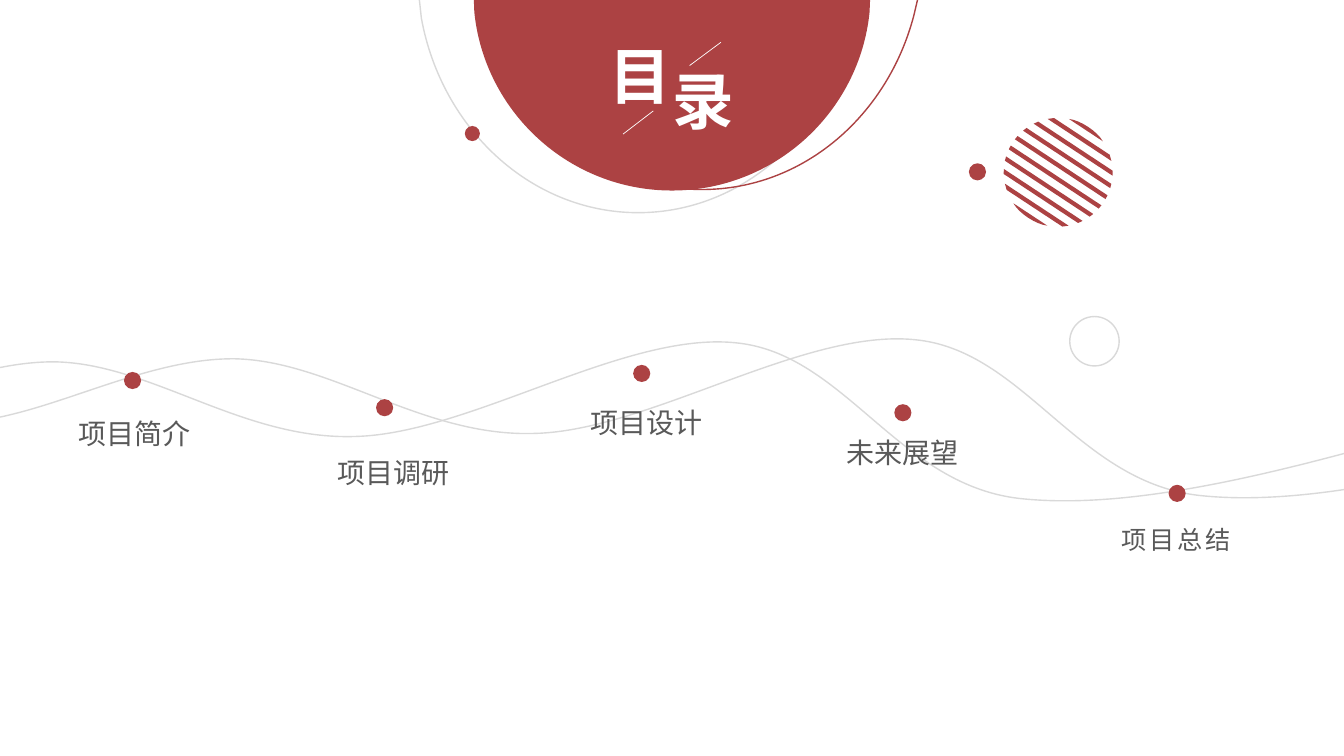
from dataclasses import dataclass
from math import sqrt

from lxml import etree
from pptx import Presentation
from pptx.dml.color import RGBColor
from pptx.enum.shapes import MSO_CONNECTOR, MSO_SHAPE
from pptx.enum.text import MSO_AUTO_SIZE, PP_ALIGN
from pptx.oxml.ns import qn
from pptx.util import Inches, Pt

OVAL = MSO_SHAPE.OVAL
STRAIGHT = MSO_CONNECTOR.STRAIGHT
CENTER = PP_ALIGN.CENTER
FIT_SHAPE = MSO_AUTO_SIZE.SHAPE_TO_FIT_TEXT

Point = tuple[float, float]
# The start point, then one point per straight segment or three per curve
Contour = list[list[Point]]


@dataclass(frozen=True)
class Theme:
    font: str = "Noto Sans CJK SC"
    red: str = "AC4243"
    grey: str = "D9D9D9"
    white: str = "FFFFFF"
    ink: str = "595959"
    title_size: float = 44
    label_size: float = 20
    last_label_size: float = 18
    line: float = 1
    hairline: float = 0.5


T = Theme()


@dataclass(frozen=True)
class Box:
    left: float
    top: float
    width: float
    height: float


@dataclass(frozen=True)
class Circle:
    left: float
    top: float
    size: float = 0.17
    fill: str = T.red
    line: str | None = None


@dataclass(frozen=True)
class Bowl:
    """A circle cut off by the top of the slide; x values count from its axis."""
    box: Box
    shoulder: Point
    side_handle: Point
    base_handle: float
    fill: str | None = None
    line: str | None = None


@dataclass(frozen=True)
class Label:
    text: str
    left: float
    top: float
    width: float = 1.32
    height: float = 0.44
    size: float = T.label_size
    color: str = T.ink
    bold: bool = False
    spacing: float = 0
    wrap: bool = False


WAVE_BOX = Box(-2.7, 3.36, 19.26, 1.58)
WAVE: Contour = [
    [(-2.7, 3.44)],
    [(-2.01, 3.8), (-1.32, 4.17), (-0.49, 4.19)],
    [(0.35, 4.21), (1.36, 3.55), (2.33, 3.56)],
    [(3.29, 3.58), (4.19, 4.34), (5.31, 4.3)],
    [(6.44, 4.27), (7.97, 3.26), (9.07, 3.37)],
    [(10.17, 3.47), (10.69, 4.81), (11.94, 4.92)],
    [(13.19, 5.04), (14.87, 4.55), (16.56, 4.06)],
]
WAVE_SHIFTS: list[Point] = [(0, 0), (-1.78, 0.03)]
DISC_BOX = Box(9.96, 1.17, 1.07, 1.08)
DISC_TILT = 33.4

BOWLS = [
    Bowl(Box(4.16, 0, 4.34, 2.11), (2.15, 0.18), (1.95, 1.28), 1.06, line=T.grey),
    Bowl(Box(4.83, 0, 4.27, 1.88), (2.1, 0.15), (1.84, 1.15), 1, line=T.red),
    Bowl(Box(4.7, 0, 3.93, 1.89), (1.96, 0.12), (1.86, 1.11), 1.02, fill=T.red),
]
BACK_CIRCLES = [Circle(1.23, 3.69), Circle(9.61, 1.62)]
FRONT_CIRCLES = [
    Circle(4.61, 1.25, 0.15),
    Circle(3.73, 3.96),
    Circle(6.28, 3.62),
    Circle(8.87, 4.01),
    Circle(10.61, 3.14, 0.49, T.white, T.grey),
    Circle(11.59, 4.81),
]
TITLE = [
    Label("目", 5.93, 0.33, 0.84, 0.84, T.title_size, T.white, True),
    Label("录", 6.56, 0.58, 0.84, 0.84, T.title_size, T.white, True),
]
TITLE_STROKES: list[tuple[Point, Point]] = [
    ((6.18, 1.33), (6.48, 1.1)),
    ((6.84, 0.65), (7.15, 0.42)),
]
LABELS = [
    Label("项目简介", 0.67, 4.08),
    Label("项目调研", 3.24, 4.47),
    Label("项目设计", 5.37, 3.97, 2.08, wrap=True),
    Label("未来展望", 8.29, 4.27),
    Label("项目总结", 11.01, 5.15, height=0.4, size=T.last_label_size, spacing=2),
]


def paint(s, fill: str | None, line: str | None) -> None:
    s.shadow.inherit = False
    if fill:
        s.fill.solid()
        s.fill.fore_color.rgb = RGBColor.from_string(fill)
    else:
        s.fill.background()
    if line:
        s.line.color.rgb = RGBColor.from_string(line)
        s.line.width = Pt(T.line)
    else:
        s.line.fill.background()


def add_outline(shapes, box: Box, contours: list[Contour],
                fill: str | None = None, line: str | None = None):
    """Frame a freeform by its box, then give it straight and curved segments."""
    left, top, width, height = map(Inches, (box.left, box.top, box.width, box.height))
    builder = shapes.build_freeform(left, top)
    builder.add_line_segments([(left + width, top + height)], close=False)
    s = builder.convert_to_shape()
    outline = next(s._element.iter(qn("a:path")))
    for child in list(outline):
        outline.remove(child)
    for contour in contours:
        for i, segment in enumerate(contour):
            tag = "a:moveTo" if i == 0 else "a:lnTo" if len(segment) == 1 else "a:cubicBezTo"
            step = etree.SubElement(outline, qn(tag))
            for x, y in segment:
                etree.SubElement(step, qn("a:pt"), x=str(Inches(x) - left), y=str(Inches(y) - top))
        if fill:
            etree.SubElement(outline, qn("a:close"))
    paint(s, fill, line)
    return s


def add_wave(shapes, dx: float, dy: float) -> None:
    box = Box(WAVE_BOX.left + dx, WAVE_BOX.top + dy, WAVE_BOX.width, WAVE_BOX.height)
    wave = [[(x + dx, y + dy) for x, y in segment] for segment in WAVE]
    add_outline(shapes, box, [wave], line=T.grey)


def add_bowl(shapes, bowl: Bowl) -> None:
    half, depth = bowl.box.width / 2, bowl.box.height
    axis = bowl.box.left + half
    (sx, sy), (hx, hy), bx = bowl.shoulder, bowl.side_handle, bowl.base_handle
    contour = [
        [(axis + half, 0)],
        [(axis + sx, sy)],
        [(axis + hx, hy), (axis + bx, depth), (axis, depth)],
        [(axis - bx, depth), (axis - hx, hy), (axis - sx, sy)],
        [(axis - half, 0)],
    ]
    add_outline(shapes, bowl.box, [contour], bowl.fill, bowl.line)


def add_striped_disc(shapes, box: Box) -> None:
    """Cut a disc into level bands between two caps, then tilt it."""
    radius, pitch, thickness = box.height / 2, 0.116, 0.042
    cx, cy = box.left + box.width / 2, box.top + radius

    def chord(y: float) -> list[Point]:
        half = sqrt(radius ** 2 - y ** 2)
        return [(cx - half, cy + y), (cx + half, cy + y)]

    contours = []
    for k in range(8):
        top = (k - 3.5) * pitch - thickness / 2
        (a, b), (d, c) = chord(top), chord(top + thickness)
        contours.append([[a], [b], [c], [d]])
    for side in (-1, 1):
        y = side * (4.5 * pitch - thickness / 2)
        a, b = chord(y)
        bulge = cy + y + (side * radius - y) * 4 / 3
        quarter = (b[0] - a[0]) / 4
        contours.append([[a], [b], [(b[0] - quarter, bulge), (a[0] + quarter, bulge), a]])
    add_outline(shapes, box, contours, fill=T.red).rotation = DISC_TILT


def add_circle(shapes, c: Circle) -> None:
    s = shapes.add_shape(OVAL, *map(Inches, (c.left, c.top, c.size, c.size)))
    paint(s, c.fill, c.line)


def add_label(shapes, label: Label) -> None:
    s = shapes.add_textbox(*map(Inches, (label.left, label.top, label.width, label.height)))
    tf = s.text_frame
    tf.word_wrap = label.wrap
    tf.auto_size = FIT_SHAPE
    p = tf.paragraphs[0]
    p.text = label.text
    p.alignment = CENTER
    p.font.size = Pt(label.size)
    p.font.bold = label.bold
    p.font.color.rgb = RGBColor.from_string(label.color)
    p.font.name = T.font
    props = p._p.get_or_add_pPr().get_or_add_defRPr()
    etree.SubElement(props, qn("a:ea"), typeface=T.font)
    if label.spacing:
        props.set("spc", str(int(label.spacing * 100)))


def add_stroke(shapes, start: Point, end: Point) -> None:
    s = shapes.add_connector(STRAIGHT, *map(Inches, (*start, *end)))
    s.line.color.rgb = RGBColor.from_string(T.white)
    s.line.width = Pt(T.hairline)
    etree.SubElement(s._element.spPr, qn("a:effectLst"))


def main() -> None:
    prs = Presentation()
    prs.slide_width, prs.slide_height = Inches(13.33), Inches(7.5)
    shapes = prs.slides.add_slide(prs.slide_layouts[6]).shapes
    add_striped_disc(shapes, DISC_BOX)
    for dx, dy in WAVE_SHIFTS:
        add_wave(shapes, dx, dy)
    for circle in BACK_CIRCLES:
        add_circle(shapes, circle)
    for bowl in BOWLS:
        add_bowl(shapes, bowl)
    title = shapes.add_group_shape().shapes
    for label in TITLE:
        add_label(title, label)
    for start, end in TITLE_STROKES:
        add_stroke(title, start, end)
    for circle in FRONT_CIRCLES:
        add_circle(shapes, circle)
    for label in LABELS:
        add_label(shapes, label)
    prs.save("out.pptx")


if __name__ == "__main__":
    main()
